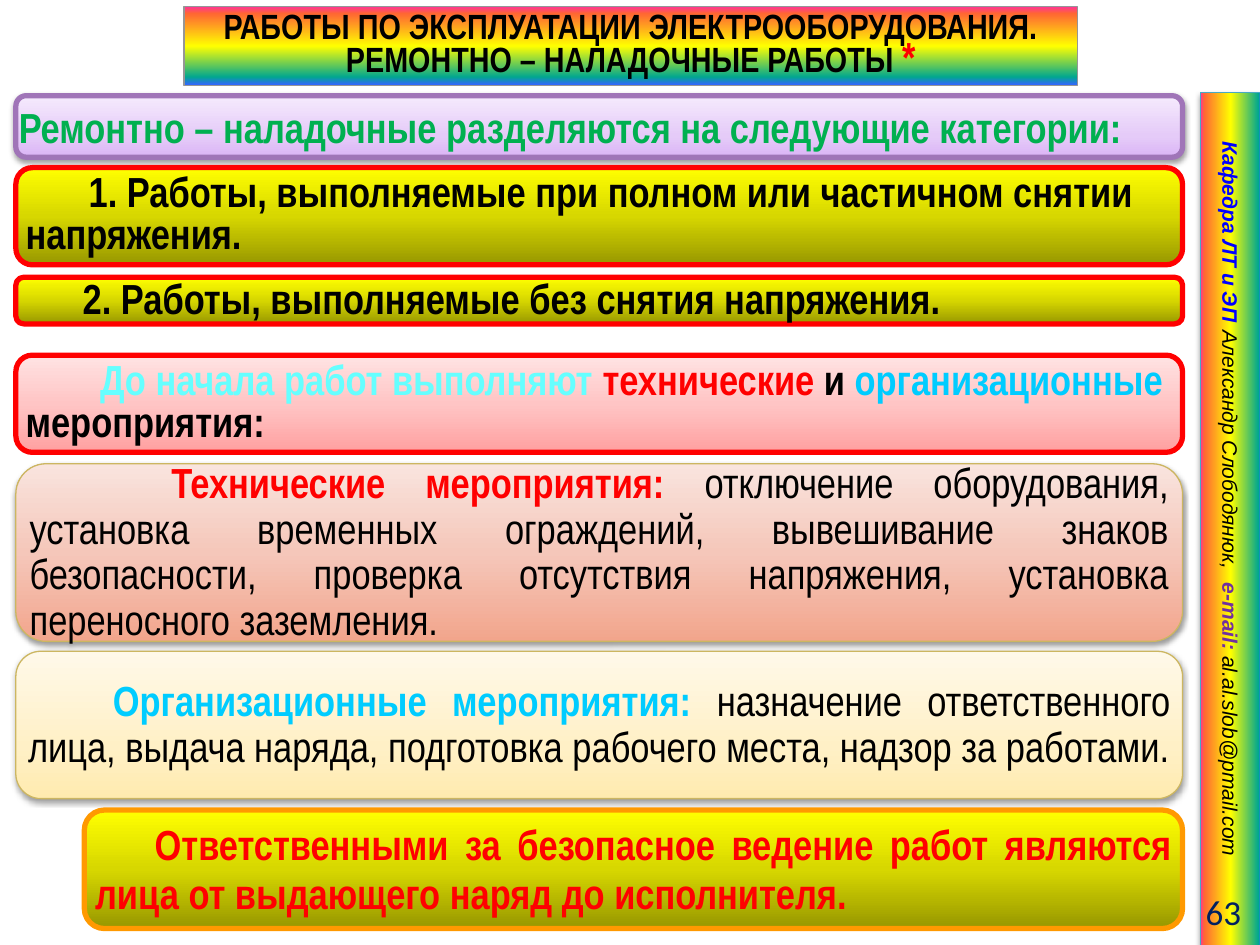
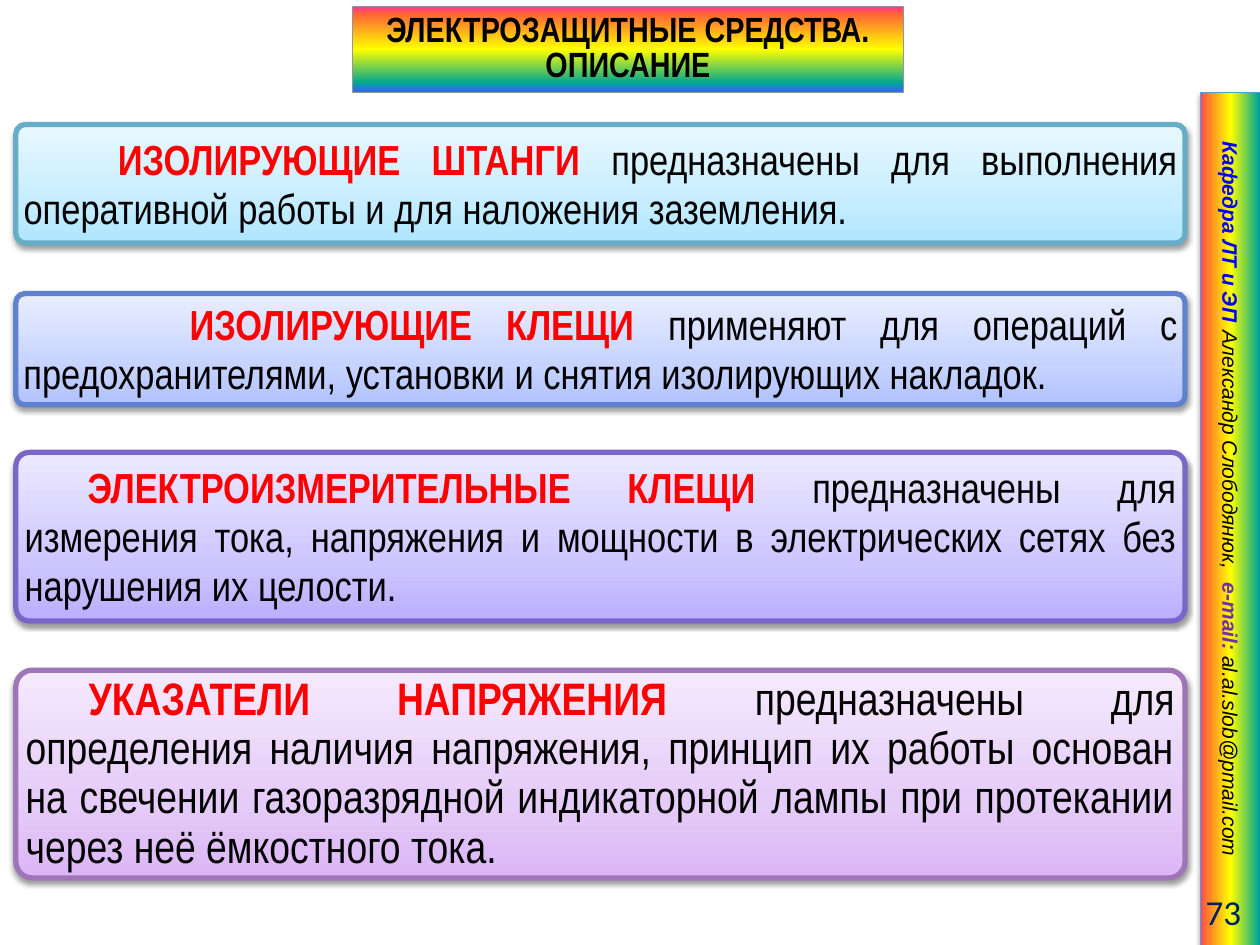
"""Build two slides on electrical repair work and protective equipment."""
from dataclasses import dataclass

from lxml import etree
from pptx import Presentation
from pptx import util as u
from pptx.dml.color import RGBColor
from pptx.enum import shapes, text
from pptx.oxml import ns

BLACK, RED, GREEN, SKY, AQUA = "000000", "FF0000", "00B050", "00CCFF", "66FFFF"
NARROW = "Arial Narrow"
LEFT, CENTER = text.PP_ALIGN.LEFT, text.PP_ALIGN.CENTER
RIGHT, JUSTIFY = text.PP_ALIGN.RIGHT, text.PP_ALIGN.JUSTIFY

OLIVE = [(0, "979700"), (50, "D7D700"), (100, "FFFF00")]
LILAC = [(0, "DBB5F6"), (35, "E5CBF8"), (100, "F5EAFD")]
CREAM = [(0, "FFEBAF"), (35, "FFF0C6"), (100, "FFF9E9")]
SALMON = [(0, "F2A58C"), (50, "F5C7BA"), (100, "F9E4DE")]
PINK = [(0, "FFA0A0"), (50, "FFC5C5"), (100, "FFE3E3")]
CYAN = [(0, "AEE6FF"), (35, "C6EDFF"), (100, "E9F8FF")]
BLUE = [(0, "B0C2FF"), (35, "C6D3FF"), (100, "E9EEFF")]
VIOLET = [(0, "BBAEFF"), (35, "CEC6FF"), (100, "ECE9FF")]


def rainbow(*positions):
    """Return the rainbow stops at the given percentages."""
    return list(zip(positions, ("FF3399", "FF6633", "FFFF00", "01A78F", "3366FF")))


@dataclass
class Card:
    """Describe one rounded text card; lengths are in centimetres."""
    top: float
    height: float
    stops: list
    edge: str
    spans: list
    indent: float = 1.27
    spacing: int = 28
    align: int = JUSTIFY
    size: int = 24
    left: float = 0.32
    edge_width: float = 3
    shadow: bool = True
    inset: float = 0.1


SIDEBAR = [
    ("Кафедра ЛТ и ЭП\t", "0000FF", True),
    ("Александр Слободянюк,\t", BLACK, False),
    ("e-mail: ", "7030A0", True),
    ("al.al.slob@pmail.com", BLACK, False),
]
SIDEBAR_TABS = (4.68, 9.74)

SLIDES = [
    {
        "number": "63",
        "title_place": (3.71, 0.13, 18.01, 1.6),
        "title": [
            [("РАБОТЫ ПО ЭКСПЛУАТАЦИИ ЭЛЕКТРООБОРУДОВАНИЯ.", BLACK, True)],
            [("РЕМОНТНО – НАЛАДОЧНЫЕ РАБОТЫ ", BLACK, True), ("*", RED, True, 24)],
        ],
        "right": 23.84,
        "corner": 0.17,
        "cards": [
            Card(1.93, 1.24, LILAC, "A075B8", [
                ("Ремонтно – наладочные разделяются на следующие категории:", GREEN, True),
            ], indent=0, spacing=None, align=LEFT, inset=0),
            Card(3.38, 1.96, OLIVE, RED, [
                ("1. Работы, выполняемые при полном или частичном снятии напряжения.",
                 BLACK, True),
            ], spacing=24, align=LEFT, shadow=False),
            Card(5.59, 0.94, OLIVE, RED, [
                ("2. Работы, выполняемые без снятия напряжения.", BLACK, True),
            ], indent=1.2, spacing=26, align=LEFT, shadow=False),
            Card(7.16, 1.96, PINK, RED, [
                ("До начала работ выполняют ", AQUA, True),
                ("технические ", RED, True),
                ("и ", BLACK, True),
                ("организационные ", SKY, True),
                ("мероприятия:", BLACK, True),
            ], indent=1.5, spacing=24, align=LEFT, shadow=False),
            Card(9.35, 3.58, SALMON, "CCB661", [
                ("Технические мероприятия: ", RED, True),
                ("отключение оборудования, установка временных ограждений, вывешивание "
                 "знаков безопасности, проверка отсутствия напряжения, установка "
                 "переносного заземления.", BLACK, False),
            ], indent=2.86, spacing=26, edge_width=0.75),
            Card(13.13, 2.97, CREAM, "CCB661", [
                ("Организационные мероприятия: ", SKY, True),
                ("назначение ответственного лица, выдача наряда, подготовка рабочего "
                 "места, надзор за работами.", BLACK, False),
            ], indent=1.71, spacing=26, edge_width=0.75),
            Card(16.33, 2.39, OLIVE, "FF9900", [
                ("Ответственными за безопасное ведение работ являются лица от выдающего "
                 "наряд до исполнителя.", RED, True),
            ], indent=1.2, left=1.7, shadow=False),
        ],
    },
    {
        "number": "73",
        "title_place": (7.11, 0.13, 11.1, 1.73),
        "title": [[("ЭЛЕКТРОЗАЩИТНЫЕ СРЕДСТВА. ОПИСАНИЕ", BLACK, True)]],
        "right": 23.89,
        "corner": 0.08,
        "cards": [
            Card(2.51, 2.39, CYAN, "66AEC7", [
                ("ИЗОЛИРУЮЩИЕ ШТАНГИ ", RED, True),
                ("предназначены для выполнения оперативной работы и для наложения "
                 "заземления.", BLACK, False),
            ], indent=1.9),
            Card(5.92, 2.24, BLUE, "6081CD", [
                ("ИЗОЛИРУЮЩИЕ КЛЕЩИ ", RED, True),
                ("применяют для операций с предохранителями, установки и снятия "
                 "изолирующих накладок.", BLACK, False),
            ], indent=3.35),
            Card(9.12, 3.4, VIOLET, "7A66C7", [
                ("ЭЛЕКТРОИЗМЕРИТЕЛЬНЫЕ КЛЕЩИ ", RED, True),
                ("предназначены для измерения тока, напряжения и мощности в "
                 "электрических сетях без нарушения их целости.", BLACK, False),
            ]),
            Card(13.51, 4.19, LILAC, "A075B8", [
                ("УКАЗАТЕЛИ НАПРЯЖЕНИЯ ", RED, True),
                ("предназначены для определения наличия напряжения, принцип их работы "
                 "основан на свечении газоразрядной индикаторной лампы при протекании "
                 "через неё ёмкостного тока.", BLACK, False),
            ], size=26),
        ],
    },
]


def paint(color_format, value):
    """Set a colour from a hex string."""
    color_format.rgb = RGBColor.from_string(value)


def child(parent, tag, **attributes):
    """Append a DrawingML element to a parent."""
    values = {name: str(value) for name, value in attributes.items()}
    return etree.SubElement(parent, ns.qn("a:" + tag), values)


def decorate(shape, stops, angle, edge, edge_width, shadow):
    """Give a shape its gradient, outline and optional soft shadow."""
    shape.fill.background()
    properties = shape.element.spPr
    blank = properties.find(ns.qn("a:noFill"))
    gradient = child(properties, "gradFill", rotWithShape=1)
    stop_list = child(gradient, "gsLst")
    for position, color in stops:
        child(child(stop_list, "gs", pos=position * 1000), "srgbClr", val=color)
    child(gradient, "lin", ang=angle * 60000, scaled=0)
    properties.replace(blank, gradient)
    paint(shape.line.color, edge)
    shape.line.width = u.Pt(edge_width)
    shape.shadow.inherit = False
    if shadow:
        effects = properties.find(ns.qn("a:effectLst"))
        outer = child(effects, "outerShdw", blurRad=u.Pt(3.1), dist=u.Pt(1.6),
                      dir=90 * 60000, rotWithShape=0)
        child(child(outer, "srgbClr", val=BLACK), "alpha", val=38000)


def write(shape, paragraphs, align, size, font=NARROW, spacing=None, indent=0,
          inset=0.1, italic=False, tabs=()):
    """Fill a shape with formatted paragraphs, centred vertically."""
    frame = shape.text_frame
    frame.word_wrap = True
    frame.auto_size = text.MSO_AUTO_SIZE.NONE
    frame.vertical_anchor = text.MSO_ANCHOR.MIDDLE
    frame.margin_left = frame.margin_right = u.Cm(inset)
    frame.margin_top = frame.margin_bottom = u.Cm(0.1)
    for index, spans in enumerate(paragraphs):
        para = frame.add_paragraph() if index else frame.paragraphs[0]
        para.alignment = align
        if spacing:
            para.line_spacing = u.Pt(spacing)
        properties = para._p.get_or_add_pPr()
        properties.set("indent", str(u.Cm(indent)))
        if tabs:
            tab_list = child(properties, "tabLst")
            for position in tabs:
                child(tab_list, "tab", pos=u.Cm(position), algn="l")
        for words, color, bold, *special in spans:
            span = para.add_run()
            span.text = words
            span.font.name = font
            span.font.size = u.Pt(special[0] if special else size)
            span.font.bold = bold
            span.font.italic = italic
            paint(span.font.color, color)


def add_sidebar(page, number):
    """Add the rotated author band and the page number."""
    band = page.shapes.add_shape(shapes.MSO_SHAPE.RECTANGLE, u.Cm(16.21), u.Cm(9.86),
                                 u.Cm(17.2), u.Cm(1.22))
    band.rotation = 90
    decorate(band, rainbow(0, 6, 50, 96, 100), 270, "46AAC5", 0.75, True)
    write(band, [SIDEBAR], LEFT, 12, "Arial", inset=0.99, italic=True, tabs=SIDEBAR_TABS)
    box = page.shapes.add_textbox(u.Cm(22.5), u.Cm(17.86), u.Cm(2.77), u.Cm(1.02))
    write(box, [[(number, "002060", False)]], RIGHT, 20, "Calibri", inset=0.25)


def add_title(page, place, paragraphs):
    """Turn the title placeholder into the rainbow heading."""
    title = page.shapes.title
    title.left, title.top, title.width, title.height = map(u.Cm, place)
    child(child(title.element.spPr, "prstGeom", prst="roundRect"), "avLst")
    decorate(title, rainbow(0, 9, 50, 89, 99), 90, "969696", 0.75, False)
    write(title, paragraphs, CENTER, 20, spacing=20)


def add_card(page, card, right, corner):
    """Add one rounded card reaching to the common right edge."""
    box = page.shapes.add_shape(shapes.MSO_SHAPE.ROUNDED_RECTANGLE, u.Cm(card.left),
                                u.Cm(card.top), u.Cm(right - card.left), u.Cm(card.height))
    box.adjustments[0] = corner
    decorate(box, card.stops, 270, card.edge, card.edge_width, card.shadow)
    write(box, [card.spans], card.align, card.size, spacing=card.spacing,
          indent=card.indent, inset=card.inset)


def main():
    """Build and save the deck."""
    deck = Presentation()
    deck.slide_width, deck.slide_height = u.Cm(25.4), u.Cm(19.05)
    for content in SLIDES:
        page = deck.slides.add_slide(deck.slide_layouts[5])
        add_sidebar(page, content["number"])
        add_title(page, content["title_place"], content["title"])
        for card in content["cards"]:
            add_card(page, card, content["right"], content["corner"])
    deck.save("out.pptx")


if __name__ == "__main__":
    main()
